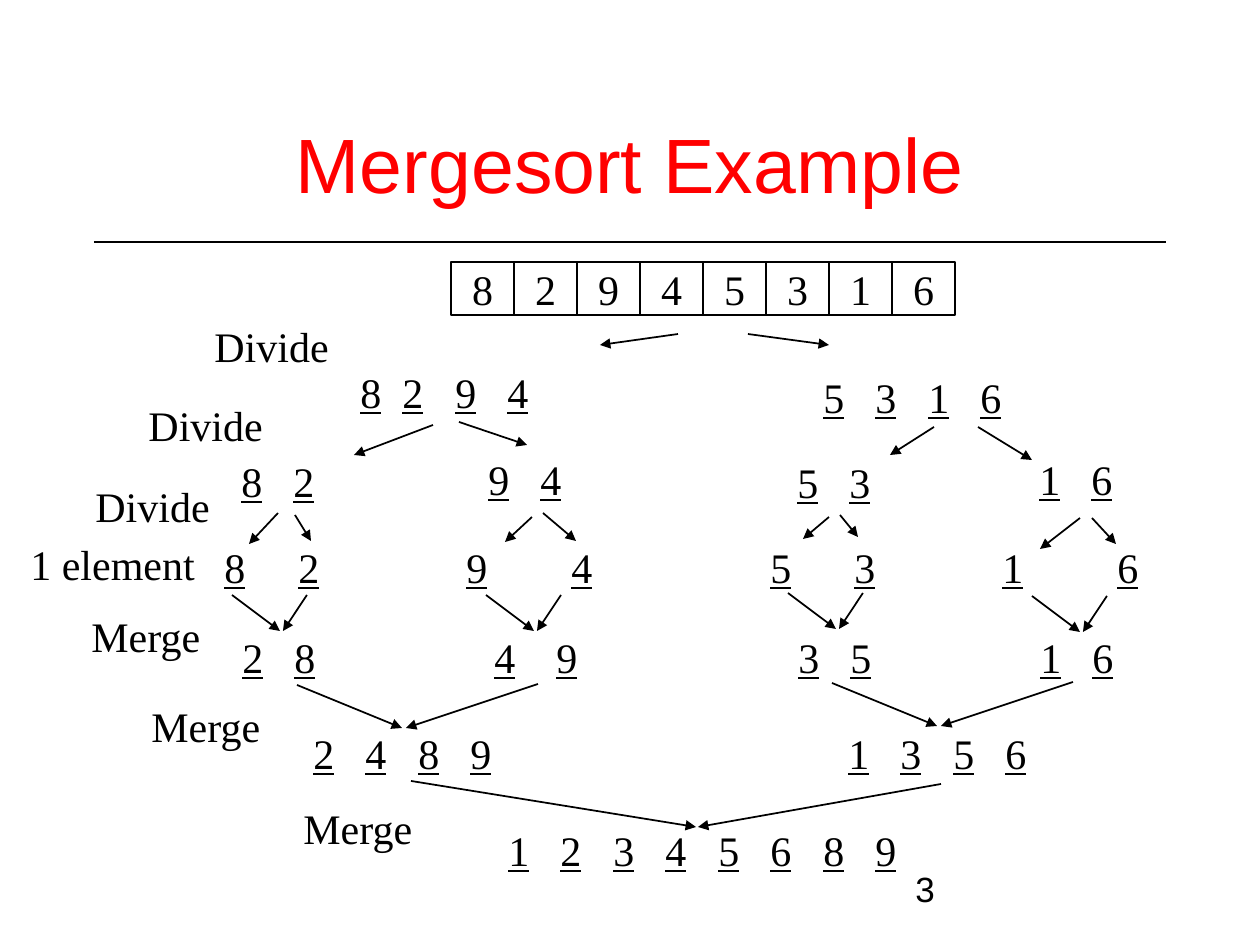
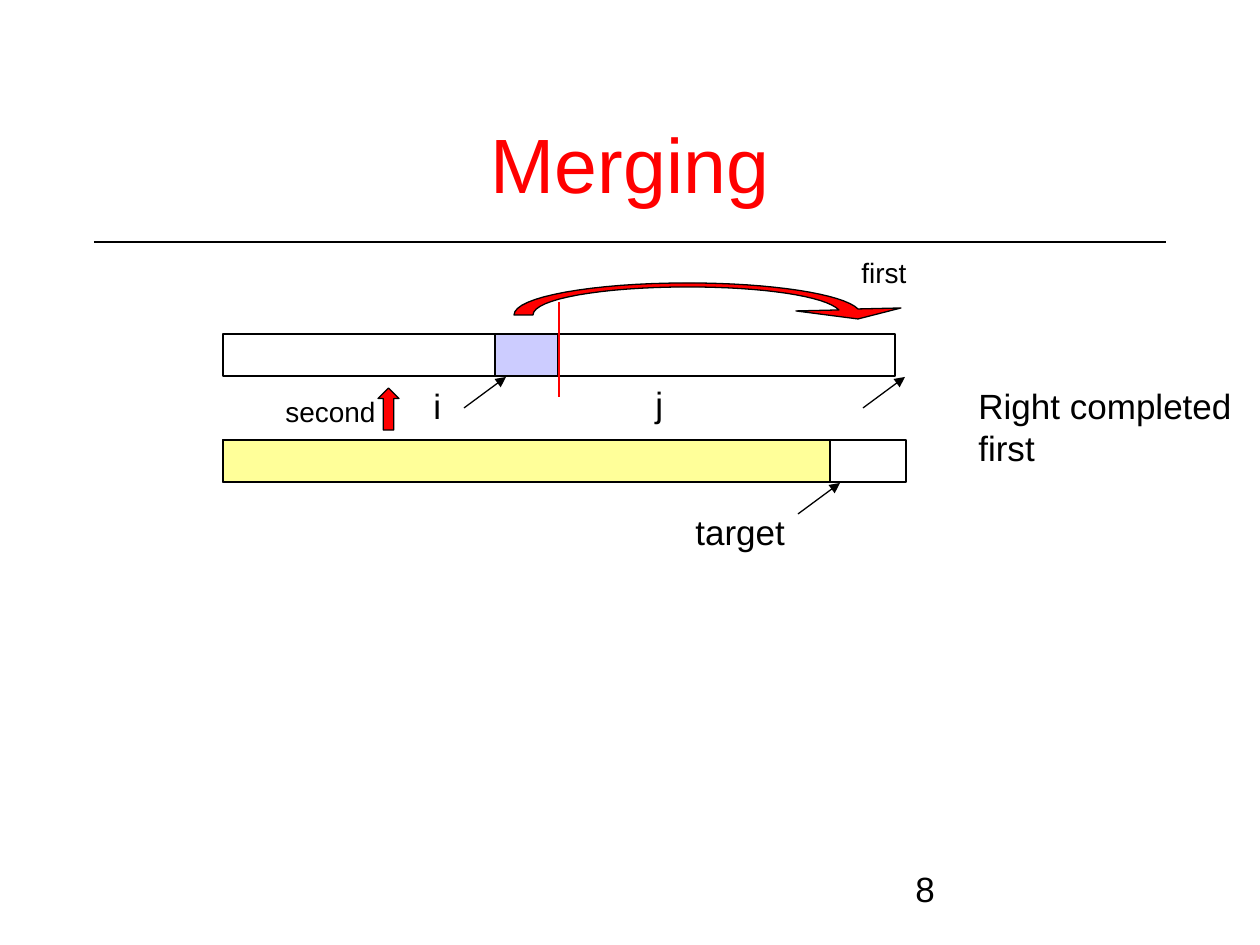
from lxml import etree
from pptx import Presentation
from pptx import util as u
from pptx.dml.color import RGBColor
from pptx.enum import shapes, text
from pptx.oxml.ns import qn

PX = u.Inches(1) / 126
BLACK = RGBColor(0, 0, 0)
RED = RGBColor(255, 0, 0)
LAVENDER = RGBColor(0xCC, 0xCC, 0xFF)
YELLOW = RGBColor(0xFF, 0xFF, 0x99)
SANS, SERIF = "Arial", "Times New Roman"
LEFT, CENTER = text.PP_ALIGN.LEFT, text.PP_ALIGN.CENTER


def write(shape, lines, size, face, color=BLACK, align=LEFT, anchor=text.MSO_ANCHOR.TOP):
    """Fill a shape with lines, each a list of (words, underlined) runs."""
    frame = shape.text_frame
    frame.word_wrap = True
    frame.vertical_anchor = anchor
    for number, runs in enumerate(lines):
        paragraph = frame.add_paragraph() if number else frame.paragraphs[0]
        paragraph.alignment = align
        for words, underlined in runs:
            run = paragraph.add_run()
            run.text = words
            look = {"size": u.Pt(size), "name": face, "underline": underlined}
            for key, value in look.items():
                setattr(run.font, key, value)
            run.font.color.rgb = color
    return frame.paragraphs[0]


def draw_line(slide, ends, width, color=BLACK, arrow=True):
    line = slide.shapes.add_connector(
        shapes.MSO_CONNECTOR.STRAIGHT, *(round(n * PX) for n in ends))
    line.line.width = u.Pt(width)
    line.line.color.rgb = color
    if arrow:
        etree.SubElement(line.line._get_or_add_ln(), qn("a:tailEnd"), type="triangle")
    etree.SubElement(line._element.spPr, qn("a:effectLst"))


deck = Presentation()
deck.slide_width, deck.slide_height = u.Inches(10), u.Inches(7.5)

# Title, rule and page number on both slides
slides = []
for heading, page in (("Mergesort Example", "3"), ("Merging", "8")):
    slide = deck.slides.add_slide(deck.slide_layouts[6])
    slides.append(slide)
    draw_line(slide, (94, 242, 1166, 242), 0.75, arrow=False)
    number = slide.shapes.add_textbox(*(round(n * PX) for n in (903, 861, 262, 63)))
    write(number, [[(page, False)]], 20, SANS)
    title = slide.shapes.add_textbox(*(round(n * PX) for n in (94, 84, 1072, 158)))
    write(title, [[(heading, False)]], 44, SANS, RED, CENTER, text.MSO_ANCHOR.MIDDLE)
example, merging = slides

# Each row: top, then groups of (left, digits, extra gap after the first digit)
rows = [
    (360, [(348, "8294", -10)]),
    (365, [(811, "5316", 0)]),
    (449, [(229, "82", 0)]),
    (447, [(1027, "16", 0)]),
    (447, [(476, "94", 0)]),
    (450, [(785, "53", 0)]),
    (535, [(212, "8", 0), (286, "2", 0), (454, "9", 0), (559, "4", 0),
           (758, "5", 0), (842, "3", 0), (990, "1", 0), (1105, "6", 0)]),
    (625, [(230, "28", 0), (482, "49", 10), (786, "35", 0), (1028, "16", 0)]),
    (721, [(301, "2489", 0), (836, "1356", 0)]),
    (818, [(496, "12345689", 0)]),
]
for top, groups in rows:
    left = groups[0][0]
    stops, runs = [], []
    for start, digits, extra in groups:
        stops += [start - left + i * 105 // 2 + (extra if i else 0)
                  for i in range(len(digits))]
        if runs:
            runs.append(("\t", False))
        runs.append(("\t".join(digits), True))
    box = (left, top, stops[-1] + 60, 63)
    row = example.shapes.add_textbox(*(round(n * PX) for n in box))
    paragraph = write(row, [runs], 24, SERIF)
    tabs = etree.SubElement(paragraph._p.get_or_add_pPr(), qn("a:tabLst"))
    for stop in stops[1:]:
        etree.SubElement(tabs, qn("a:tab"), pos=str(round(stop * PX)), algn="l")

divide_arrows = [
    (678, 334, 600, 345), (748, 334, 829, 345),
    (433, 425, 354, 455), (459, 422, 527, 445),
    (934, 427, 890, 455), (978, 427, 1032, 460),
    (278, 513, 249, 544), (295, 515, 311, 541),
    (532, 517, 505, 542), (543, 513, 576, 541),
    (829, 517, 803, 539), (840, 515, 858, 537),
    (1080, 518, 1040, 549), (1092, 518, 1116, 544),
]
merge_arrows = [(411, 781, 696, 827), (941, 784, 698, 827)]
for x, y in ((232, 595), (486, 595), (788, 593), (1032, 596)):
    merge_arrows += [(x, y, x + 48, y + 36), (x + 75, y, x + 51, y + 36)]
for x, y in ((297, 685), (832, 683)):
    merge_arrows += [(x, y, x + 105, y + 43), (x + 241, y - 1, x + 109, y + 43)]
for ends in divide_arrows + merge_arrows:
    draw_line(example, ends, 1)

steps = [
    ("Merge", 79, 604), ("Merge", 139, 694), ("Merge", 291, 796),
    ("Divide", 202, 314), ("Divide", 136, 393), ("Divide", 83, 474),
    ("1 element", 18, 532),
]
for step, left, top in steps:
    box = (left, top, 200 if " " in step else 145, 63)
    label = example.shapes.add_textbox(*(round(n * PX) for n in box))
    write(label, [[(step, False)]], 24, SERIF)

# Shapes on both slides: slide, preset, box, fill, digit
RECT, UP = shapes.MSO_SHAPE.RECTANGLE, shapes.MSO_SHAPE.UP_ARROW
blocks = [(example, RECT, (451 + 63 * i, 262, 63, 53), None, digit)
          for i, digit in enumerate("82945316")]
blocks += [
    (merging, RECT, (223, 334, 336, 42), None, ""),
    (merging, RECT, (559, 334, 336, 42), None, ""),
    (merging, RECT, (223, 440, 683, 42), None, ""),
    (merging, RECT, (495, 334, 63, 42), LAVENDER, ""),
    (merging, RECT, (223, 440, 607, 42), YELLOW, ""),
    (merging, UP, (378, 388, 21, 42), RED, ""),
]
outlined = []
for slide, preset, box, fill, digit in blocks:
    block = slide.shapes.add_shape(preset, *(round(n * PX) for n in box))
    outlined.append((block, fill))
    if digit:
        write(block, [[(digit, False)]], 24, SERIF, align=CENTER,
              anchor=text.MSO_ANCHOR.MIDDLE)

# Curved arrow that moves the rest of the left half: cubic arcs and straight tips
arcs = [
    ((839, 310), (825, 296), (762, 287), (688, 287)),
    ((688, 287), (602, 287), (533, 299), (533, 315)),
    ((514, 315), (514, 297), (592, 283), (688, 283)),
    ((688, 283), (771, 283), (843, 294), (858, 309)),
]
outline = []
for arc in arcs:
    for step in range(17):
        t = step / 16
        weights = ((1 - t) ** 3, 3 * t * (1 - t) ** 2, 3 * t * t * (1 - t), t ** 3)
        outline.append([round(PX * sum(w * point[axis] for w, point in zip(weights, arc)))
                        for axis in (0, 1)])
outline += [[round(n * PX) for n in tip] for tip in ((901, 308), (858, 319), (796, 311))]
builder = merging.shapes.build_freeform(*outline[0])
builder.add_line_segments(outline[1:], close=True)
outlined.append((builder.convert_to_shape(), RED))

for block, fill in outlined:
    block.shadow.inherit = False
    block.line.color.rgb = BLACK
    block.line.width = u.Pt(0.75)
    if fill is None:
        block.fill.background()
    else:
        block.fill.solid()
        block.fill.fore_color.rgb = fill

# Split mark, index pointers and captions
draw_line(merging, (559, 302, 559, 397), 1.5, RED, arrow=False)
for pointer in ((464, 408, 506, 377), (798, 514, 840, 483), (863, 408, 905, 377)):
    draw_line(merging, pointer, 0.75)

captions = [
    (["i"], (421, 378, 33, 55), 20),
    (["j"], (643, 376, 33, 55), 20),
    (["target"], (683, 504, 125, 55), 20),
    (["Right completed", "first"], (966, 378, 290, 139), 20),
    (["first"], (849, 249, 80, 47), 16),
    (["second"], (273, 388, 125, 47), 16),
]
for lines, box, size in captions:
    caption = merging.shapes.add_textbox(*(round(n * PX) for n in box))
    write(caption, [[(line, False)] for line in lines], size, SANS)

deck.save("out.pptx")
